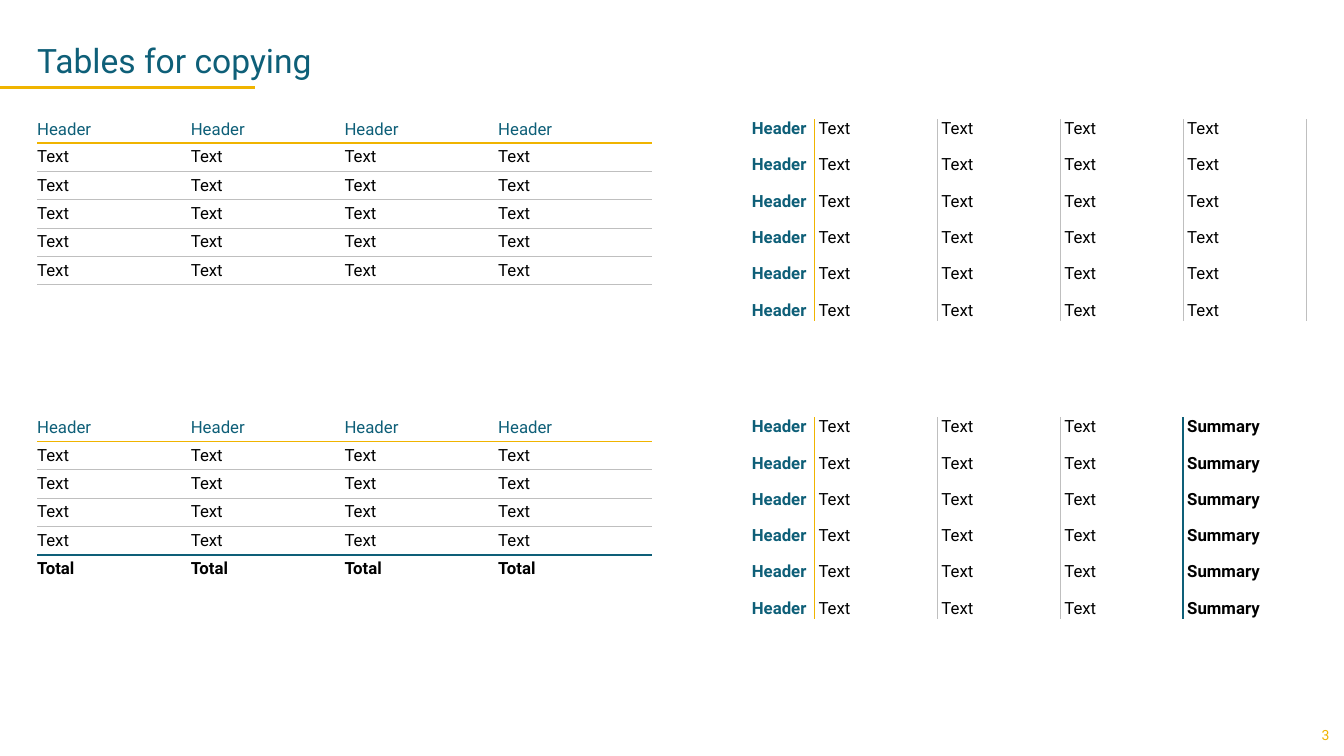
from lxml.etree import SubElement as Sub
from pptx import Presentation
from pptx.dml.color import RGBColor as RGB
from pptx.enum.shapes import MSO_CONNECTOR as CONN
from pptx.enum.text import MSO_ANCHOR as ANCHOR, PP_ALIGN as ALIGN
from pptx.oxml.ns import qn
from pptx.util import Pt

THEME = {
    "font": "Roboto", "teal": "0E5F78", "gold": "F0B400", "grey": "BFBFBF", "black": "000000",
    "title": 24, "body": 12, "number": 10,
}
NO_STYLE = "{2D5ABB26-0587-4C30-8999-92F81FD0307C}"
GOLD, TEAL, GREY = (THEME["gold"], 1.5), (THEME["teal"], 1.5), (THEME["grey"], 0.75)


def write(p, text, size, color, bold=False):
    r = p.add_run()
    r.text = text
    look = {"name": THEME["font"], "size": Pt(THEME[size]), "bold": bold}
    for key, value in look.items():
        setattr(r.font, key, value)
    r.font.color.rgb = RGB.from_string(THEME[color])


def border(cell, side, rule):
    tcPr = cell._tc.get_or_add_tcPr()
    ln = Sub(tcPr, qn(f"a:ln{side}"))
    if rule:
        color, width = rule
        ln.set("w", str(Pt(width)))
        Sub(Sub(ln, qn("a:solidFill")), qn("a:srgbClr")).set("val", color)
    else:
        ln.set("w", "0")
        Sub(ln, qn("a:noFill"))


prs = Presentation()
prs.slide_width, prs.slide_height = Pt(960), Pt(540)
s = prs.slides.add_slide(prs.slide_layouts[6])

line = s.shapes.add_connector(CONN.STRAIGHT, Pt(0), Pt(62.5), Pt(182), Pt(62.5))
line.line.color.rgb = RGB.from_string(THEME["gold"])
line.line.width = Pt(2.25)
Sub(line._element.spPr, qn("a:effectLst"))

boxes = [
    ("Tables for copying", (26.5, 0, 907, 57.5), "title", "teal", ANCHOR.BOTTOM, ALIGN.LEFT, 0.9),
    ("3", (933.5, 510.5, 26.5, 29.5), "number", "gold", ANCHOR.MIDDLE, ALIGN.CENTER, 1.0),
]
for text, place, size, color, anchor, align, spacing in boxes:
    tf = s.shapes.add_textbox(*map(Pt, place)).text_frame
    frame = {"word_wrap": True, "vertical_anchor": anchor, "margin_left": 0,
             "margin_right": 0, "margin_top": 0, "margin_bottom": 0}
    for key, value in frame.items():
        setattr(tf, key, value)
    p = tf.paragraphs[0]
    p.alignment, p.line_spacing = align, spacing
    write(p, text, size, color)

TOPS = (85, 298)
ROW_LABELS = (["Header"] + ["Text"] * 5, ["Header"] + ["Text"] * 4 + ["Total"])
ROW_RULES = ([None, GOLD] + [GREY] * 5, [None, GOLD] + [GREY] * 3 + [TEAL, None])
COL_LABELS = (["Header"] + ["Text"] * 4, ["Header"] + ["Text"] * 3 + ["Summary"])
COL_RULES = ([None, GOLD] + [GREY] * 4, [None, GOLD, GREY, GREY, TEAL, None])
ROW_HEIGHTS = [17] + [19.8] * 5
COL_HEIGHTS = [25.5] * 5 + [14]

tables = []
for top, labels, rules in zip(TOPS, ROW_LABELS, ROW_RULES):
    tables.append((26.5, top, True, labels, rules, ROW_HEIGHTS, [109.8] * 4))
for top, labels, rules in zip(TOPS, COL_LABELS, COL_RULES):
    tables.append((494, top, False, labels, rules, COL_HEIGHTS, [87.8] * 5))

for left, top, by_row, labels, rules, heights, widths in tables:
    place = map(Pt, (left, top, sum(widths), sum(heights)))
    table = s.shapes.add_table(len(heights), len(widths), *place).table
    table._tbl.tblPr.find(qn("a:tableStyleId")).text = NO_STYLE
    table.first_row, table.first_col, table.horz_banding = by_row, not by_row, False
    for row, height in zip(table.rows, heights):
        row.height = Pt(height)
    for col, width in zip(table.columns, widths):
        col.width = Pt(width)

    for i in range(len(heights)):
        for j in range(len(widths)):
            cell, k = table.cell(i, j), i if by_row else j
            label, header = labels[k], k == 0
            if by_row:
                margins = (0, 0 if header else 2.9, 11.5, 0 if label == "Total" else 2.9)
            else:
                right = {"Header": 5.75, "Text": 2.9, "Summary": 0}[label]
                margins = (0 if header else 2.9, 0, right, 0 if i == len(heights) - 1 else 11.5)
            for side, margin in zip(("left", "top", "right", "bottom"), margins):
                setattr(cell, f"margin_{side}", Pt(margin))
            cell.vertical_anchor = ANCHOR.BOTTOM if by_row and header else ANCHOR.TOP

            edges = dict.fromkeys("LRTB")
            before, after = "TB" if by_row else "LR"
            edges[before], edges[after] = rules[k], rules[k + 1]
            for side, rule in edges.items():
                border(cell, side, rule)
            cell.fill.background()

            p = cell.text_frame.paragraphs[0]
            p.alignment = ALIGN.RIGHT if header and not by_row else ALIGN.LEFT
            bold = label in ("Total", "Summary") or (header and not by_row)
            write(p, label, "body", "teal" if header else "black", bold)

prs.save("out.pptx")
